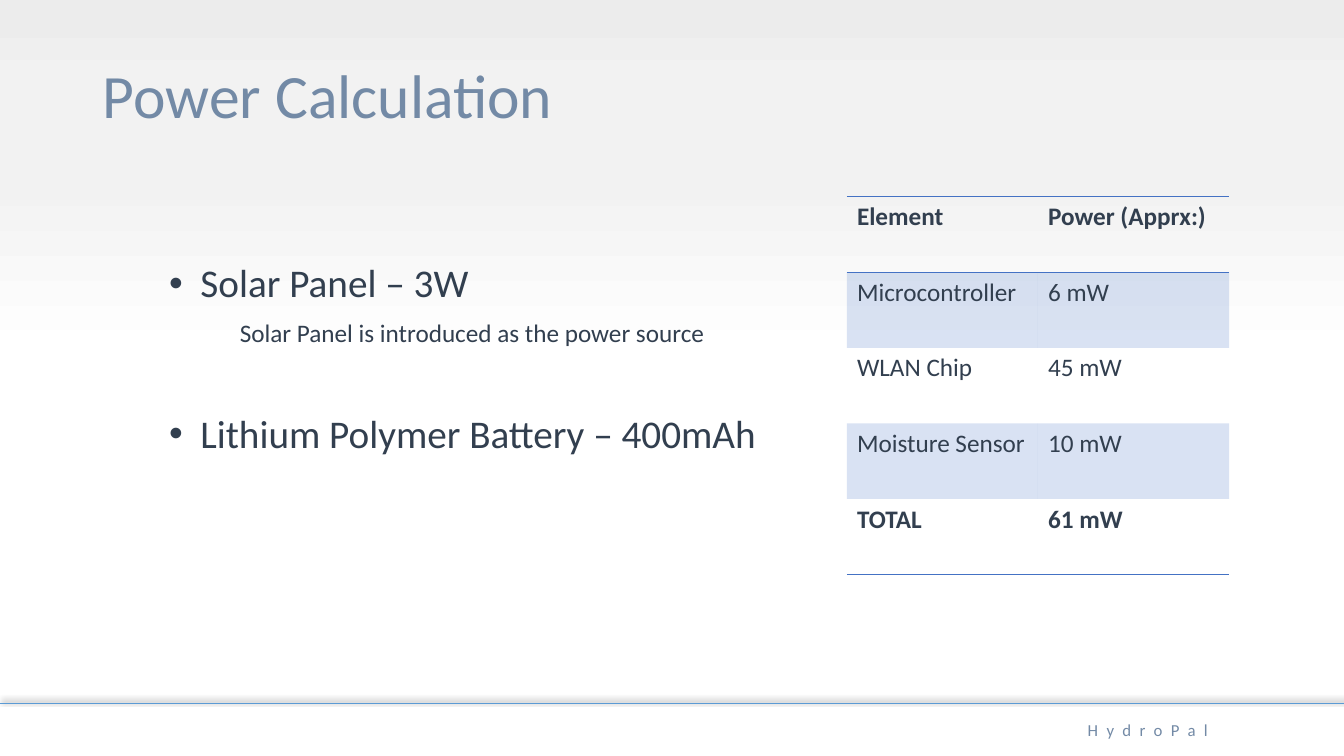
from lxml.etree import SubElement
from pptx import Presentation
from pptx.dml.color import RGBColor
from pptx.enum.shapes import MSO_CONNECTOR
from pptx.enum.text import MSO_ANCHOR
from pptx.oxml import parse_xml
from pptx.oxml.ns import nsdecls, qn
from pptx.util import Inches, Pt

FONT = "Calibri"
COLORS = {
    "title": "738AA6",
    "text": "323F4F",
    "rule": "5B9BD5",
    "accent": "4472C4",
    "shadow": "000000",
}
BACKGROUND_STOPS = [(53, "FFFFFF"), (76, "F2F2F2"), (89, "F2F2F2"), (98, "ECECEC")]
POWER_ROWS = [
    ("Element", "Power (Apprx:)"),
    ("Microcontroller", "6 mW"),
    ("WLAN Chip", "45 mW"),
    ("Moisture Sensor", "10 mW"),
    ("TOTAL", "61 mW"),
]
NO_STYLE = "{2D5ABB26-0587-4C30-8999-92F81FD0307C}"


def rgb(name):
    return RGBColor.from_string(COLORS[name])


def add_run(p, text, size, color="text", bold=False):
    r = p.add_run()
    r.text = text
    r.font.name = FONT
    r.font.size = Pt(size)
    r.font.bold = bold
    r.font.color.rgb = rgb(color)
    return r


def add_textbox(s, x, y, w, h):
    tf = s.shapes.add_textbox(Inches(x), Inches(y), Inches(w), Inches(h)).text_frame
    tf.word_wrap = True
    return tf


def set_background(s):
    s.background.fill.solid()
    bg_pr = s.background._cSld.bg.bgPr
    stops = "".join(
        f'<a:gs pos="{pos * 1000}"><a:srgbClr val="{color}"/></a:gs>'
        for pos, color in BACKGROUND_STOPS
    )
    gradient = parse_xml(
        f'<a:gradFill {nsdecls("a")} rotWithShape="1"><a:gsLst>{stops}</a:gsLst>'
        '<a:lin ang="16200000" scaled="0"/></a:gradFill>'
    )
    bg_pr.replace(bg_pr.find(qn("a:solidFill")), gradient)


def set_title(s, text, x, y, w, h):
    sp = s.shapes.title
    sp.left, sp.top, sp.width, sp.height = map(Inches, (x, y, w, h))
    tf = sp.text_frame
    tf.vertical_anchor = MSO_ANCHOR.MIDDLE
    tf.margin_bottom = Inches(0.35)
    p = tf.paragraphs[0]
    p.line_spacing = 0.9
    p._p.get_or_add_pPr().set("algn", "l")
    add_run(p, text, 44, "title")


def add_footer(s, text, y, w):
    # Rule with a soft shadow above it
    rule = s.shapes.add_connector(
        MSO_CONNECTOR.STRAIGHT, 0, Inches(y), Inches(w), Inches(y)
    )
    rule.line.color.rgb = rgb("rule")
    rule.line.width = Pt(0.5)
    effects = SubElement(rule._element.spPr, qn("a:effectLst"))
    shadow = SubElement(
        effects, qn("a:outerShdw"), blurRad=str(Pt(4)), dist=str(Pt(3)), dir="18900000"
    )
    color = SubElement(shadow, qn("a:srgbClr"), val=COLORS["shadow"])
    SubElement(color, qn("a:alpha"), val="40000")

    # Spaced-out project name
    tf = add_textbox(s, w - 2.64, y + 0.11, 3.01 - 0.37, 0.3)
    r = add_run(tf.paragraphs[0], text, 12, "title")
    r._r.get_or_add_rPr().set("spc", "600")


def add_bullet(s, text, x, y, w, h, detail=None):
    tf = add_textbox(s, x, y, w, h)
    p = tf.paragraphs[0]
    p.line_spacing = 0.9
    add_run(p, text, 28)
    p_pr = p._p.get_or_add_pPr()
    p_pr.set("marL", str(Inches(0.31)))
    p_pr.set("indent", str(-Inches(0.31)))
    SubElement(p_pr, qn("a:buFont"), typeface="Arial")
    SubElement(p_pr, qn("a:buChar"), char="•")
    if detail:
        p = tf.add_paragraph()
        p.line_spacing = 0.9
        p.space_before = Pt(10)
        p._p.get_or_add_pPr().set("marL", str(Inches(0.7)))
        add_run(p, detail, 18)


def add_border(cell, side):
    line = parse_xml(
        f'<a:{side} {nsdecls("a")} w="{Pt(1)}"><a:solidFill>'
        f'<a:srgbClr val="{COLORS["accent"]}"/></a:solidFill></a:{side}>'
    )
    cell._tc.get_or_add_tcPr().insert(0, line)


def fill_band(cell):
    cell.fill.solid()
    cell.fill.fore_color.rgb = rgb("accent")
    color = cell._tc.tcPr.find(qn("a:solidFill"))[0]
    SubElement(color, qn("a:alpha"), val="20000")


def add_power_table(s, rows, x, y, w, h):
    table = s.shapes.add_table(
        len(rows), len(rows[0]), Inches(x), Inches(y), Inches(w), Inches(h)
    ).table
    table.first_row = True
    table.horz_banding = False
    table._tbl.tblPr.find(qn("a:tableStyleId")).text = NO_STYLE
    last = len(rows) - 1
    for i, row in enumerate(rows):
        table.rows[i].height = Inches(h / len(rows))
        for j, text in enumerate(row):
            cell = table.cell(i, j)
            add_run(cell.text_frame.paragraphs[0], text, 18, bold=i in (0, last))
            if i in (0, last):
                add_border(cell, "lnB")
            if i == 0:
                add_border(cell, "lnT")
            if i % 2:
                fill_band(cell)
            else:
                cell.fill.background()


def build_power_slide(prs):
    s = prs.slides.add_slide(prs.slide_layouts[5])
    set_background(s)
    set_title(s, "Power Calculation", 0.92, 0.4, 11.5, 1.45)
    add_footer(s, "HydroPal", 6.98, 13.33)
    add_bullet(s, "Solar Panel – 3W", 1.58, 2.57, 6.75, 1.18,
               "Solar Panel is introduced as the power source")
    add_bullet(s, "Lithium Polymer Battery – 400mAh", 1.58, 4.06, 6.75, 1.18)
    add_power_table(s, POWER_ROWS, 8.4, 1.95, 3.79, 3.75)


def main():
    prs = Presentation()
    prs.slide_width, prs.slide_height = Inches(13.33), Inches(7.5)
    build_power_slide(prs)
    prs.save("out.pptx")


if __name__ == "__main__":
    main()
